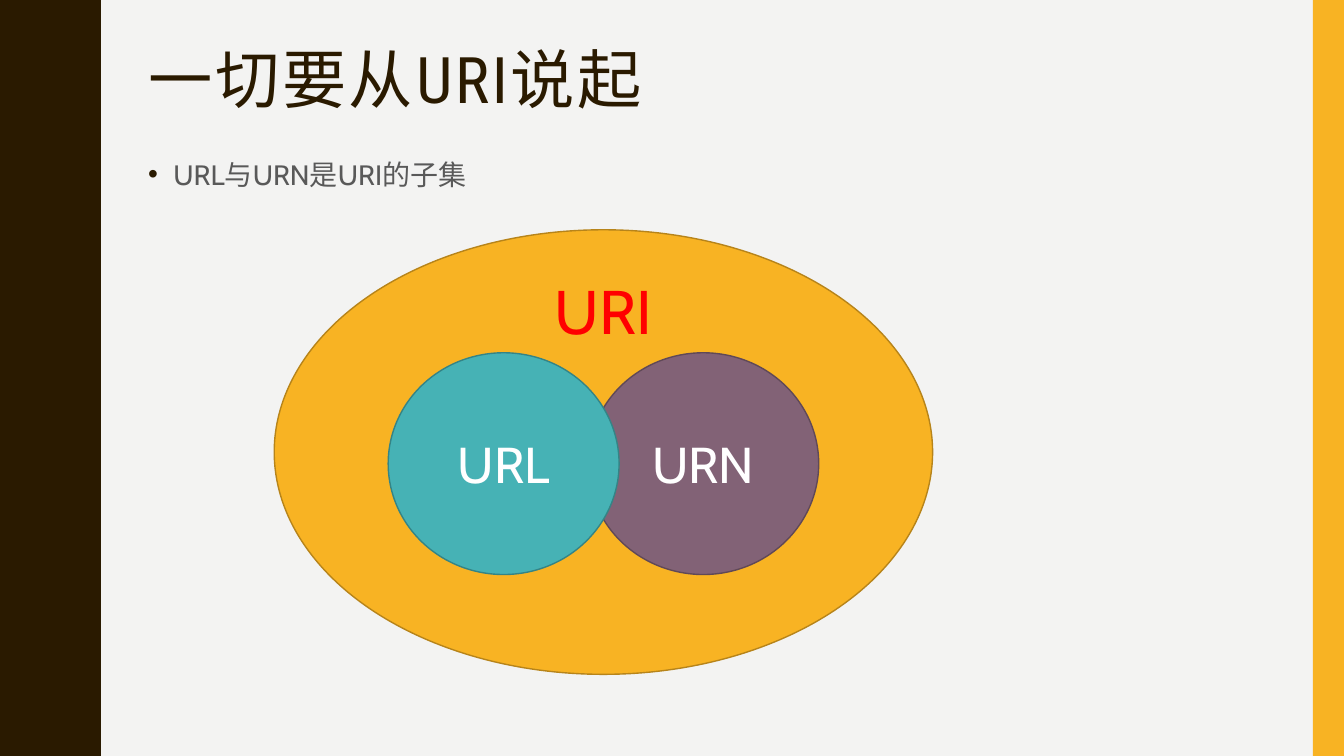
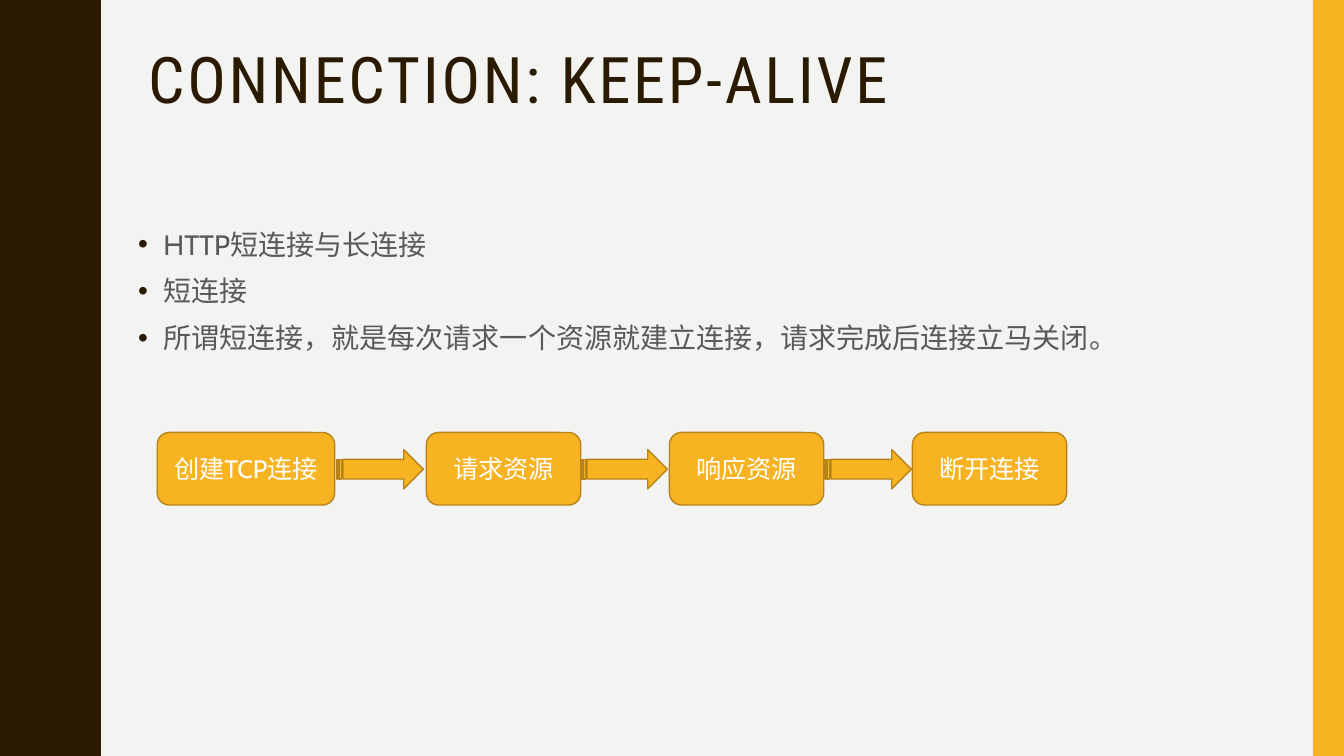
from lxml import etree
from pptx import Presentation
from pptx import util as u
from pptx.dml.color import RGBColor
from pptx.enum import shapes, text
from pptx.oxml.ns import qn

BROWN = RGBColor(0x2A, 0x1A, 0x00)
PAPER = RGBColor(0xF3, 0xF3, 0xF2)
GOLD = RGBColor(0xF8, 0xB3, 0x23)
OCHRE = RGBColor(0xB7, 0x84, 0x1A)
PLUM = RGBColor(0x82, 0x62, 0x76)
GRAPE = RGBColor(0x60, 0x49, 0x57)
TEAL = RGBColor(0x46, 0xB2, 0xB5)
PINE = RGBColor(0x34, 0x84, 0x86)
GREY = RGBColor(0x59, 0x59, 0x59)
RED = RGBColor(0xFF, 0x00, 0x00)
WHITE = RGBColor(0xFF, 0xFF, 0xFF)

HEAD = "Roboto Condensed"
BODY = "Cabin"
KIND = shapes.MSO_SHAPE
ALIGN = text.PP_ALIGN
ANCHOR = text.MSO_ANCHOR
FIT = text.MSO_AUTO_SIZE

RISE = [(0.78, 0), (0.78, 0.07), (0.79, 0.14), (0.8, 0.2), (0.81, 0.25),
        (0.83, 0.29), (0.85, 0.33), (0.87, 0.38), (0.89, 0.42), (0.91, 0.46),
        (0.93, 0.5), (0.95, 0.55), (0.96, 0.61), (0.97, 0.68), (0.97, 0.75)]


def write(frame, *lines, size, color, font=BODY, align=ALIGN.CENTER, anchor=ANCHOR.MIDDLE,
          fit=FIT.NONE, lead=None, before=None, track=None, dot=None):
    frame.word_wrap = True
    frame.auto_size = fit
    frame.vertical_anchor = anchor
    for i, line in enumerate(lines):
        para = frame.add_paragraph() if i else frame.paragraphs[0]
        para.alignment = align
        if lead:
            para.line_spacing = lead
        if before is not None:
            para.space_before = u.Pt(before)
        if dot:
            props = para._p.get_or_add_pPr()
            props.set("marL", str(u.Inches(0.25)))
            props.set("indent", str(u.Inches(-0.25)))
            tint = etree.SubElement(props, qn("a:buClr"))
            etree.SubElement(tint, qn("a:srgbClr")).set("val", str(dot))
            etree.SubElement(props, qn("a:buChar")).set("char", "•")
        run = para.add_run()
        run.text = line
        run.font.name = font
        run.font.size = u.Pt(size)
        run.font.color.rgb = color
        if track:
            run.font._element.set("spc", str(track * 100))


def place(shape, *box):
    shape.left, shape.top, shape.width, shape.height = map(u.Inches, box)


class Deck:
    def __init__(self):
        self.show = Presentation()
        self.show.slide_width = u.Inches(13.33)
        self.show.slide_height = u.Inches(7.5)
        back = self.show.slide_master.background.fill
        back.solid()
        back.fore_color.rgb = PAPER
        self.slide = None

    def page(self, title):
        self.slide = self.show.slides.add_slide(self.show.slide_layouts[1])
        head = self.slide.shapes.title
        place(head, 1.37, 0.42, 11.13, 0.81)
        write(head.text_frame, title, size=45.9, color=BROWN, font=HEAD,
              align=ALIGN.LEFT, lead=0.9, track=2)

    def trim(self):
        pen = self.slide.shapes.build_freeform(0, 0, scale=u.Inches(1))
        wave = RISE + [(x, 1.5 - y) for x, y in RISE[-2::-1]]
        edge = [(x, y + 1.5 * i) for i in range(5) for x, y in wave]
        pen.add_line_segments(edge + [(0, 7.5)], close=True)
        side = self.paint(pen.convert_to_shape(), BROWN)
        strip = self.shape(KIND.RECTANGLE, (13.02, 0, 0.31, 7.5), GOLD)
        tree = self.show.slide_master.shapes.element
        for i, part in enumerate((side, strip)):
            part.element.nvSpPr.cNvPr.set("id", str(20 + i))
            tree.insert(2 + i, part.element)

    def paint(self, shape, fill, line=None):
        shape.shadow.inherit = False
        shape.fill.solid()
        shape.fill.fore_color.rgb = fill
        if line is None:
            shape.line.fill.background()
        else:
            shape.line.color.rgb = line
            shape.line.width = u.Pt(1)
        return shape

    def shape(self, kind, box, fill, line=None, label=None, size=18):
        shape = self.slide.shapes.add_shape(kind, *map(u.Inches, box))
        if label:
            write(shape.text_frame, label, size=size, color=WHITE)
        return self.paint(shape, fill, line)

    def list(self, box, *lines):
        body = self.slide.placeholders[1]
        place(body, *box)
        write(body.text_frame, *lines, size=20, color=GREY, align=ALIGN.LEFT,
              anchor=ANCHOR.TOP, lead=1.1, before=7, dot=BROWN)

    def label(self, box, line, size, color):
        note = self.slide.shapes.add_textbox(*map(u.Inches, box))
        write(note.text_frame, line, size=size, color=color,
              anchor=ANCHOR.TOP, fit=FIT.SHAPE_TO_FIT_TEXT)


def main():
    deck = Deck()

    deck.page("一切要从URI说起")
    deck.trim()
    deck.list((1.37, 1.48, 11.38, 4.95), "URL与URN是URI的子集")
    deck.shape(KIND.OVAL, (2.72, 2.28, 6.53, 4.41), GOLD, OCHRE)
    deck.label((4.96, 2.66, 2.05, 0.84), "URI", 44, RED)
    for name, left, fill, line in (("URN", 5.83, PLUM, GRAPE), ("URL", 3.85, TEAL, PINE)):
        deck.shape(KIND.OVAL, (left, 3.5, 2.29, 2.2), fill, line, name, 36)

    deck.page("CONNECTION: KEEP-ALIVE")
    deck.list((1.27, 2.17, 11.13, 3.93), "HTTP短连接与长连接", "短连接",
              "所谓短连接，就是每次请求一个资源就建立连接，请求完成后连接立马关闭。")
    deck.shape(KIND.ROUNDED_RECTANGLE, (1.56, 4.29, 1.76, 0.72), GOLD, OCHRE, "创建TCP连接")
    for i, step in enumerate(("请求资源", "响应资源", "断开连接")):
        deck.shape(KIND.ROUNDED_RECTANGLE, (4.23 + 2.41 * i, 4.29, 1.53, 0.72),
                   GOLD, OCHRE, step)
        deck.shape(KIND.STRIPED_RIGHT_ARROW, (3.34 + 2.42 * i, 4.46, 0.86, 0.39), GOLD, OCHRE)

    deck.show.save("out.pptx")


if __name__ == "__main__":
    main()
